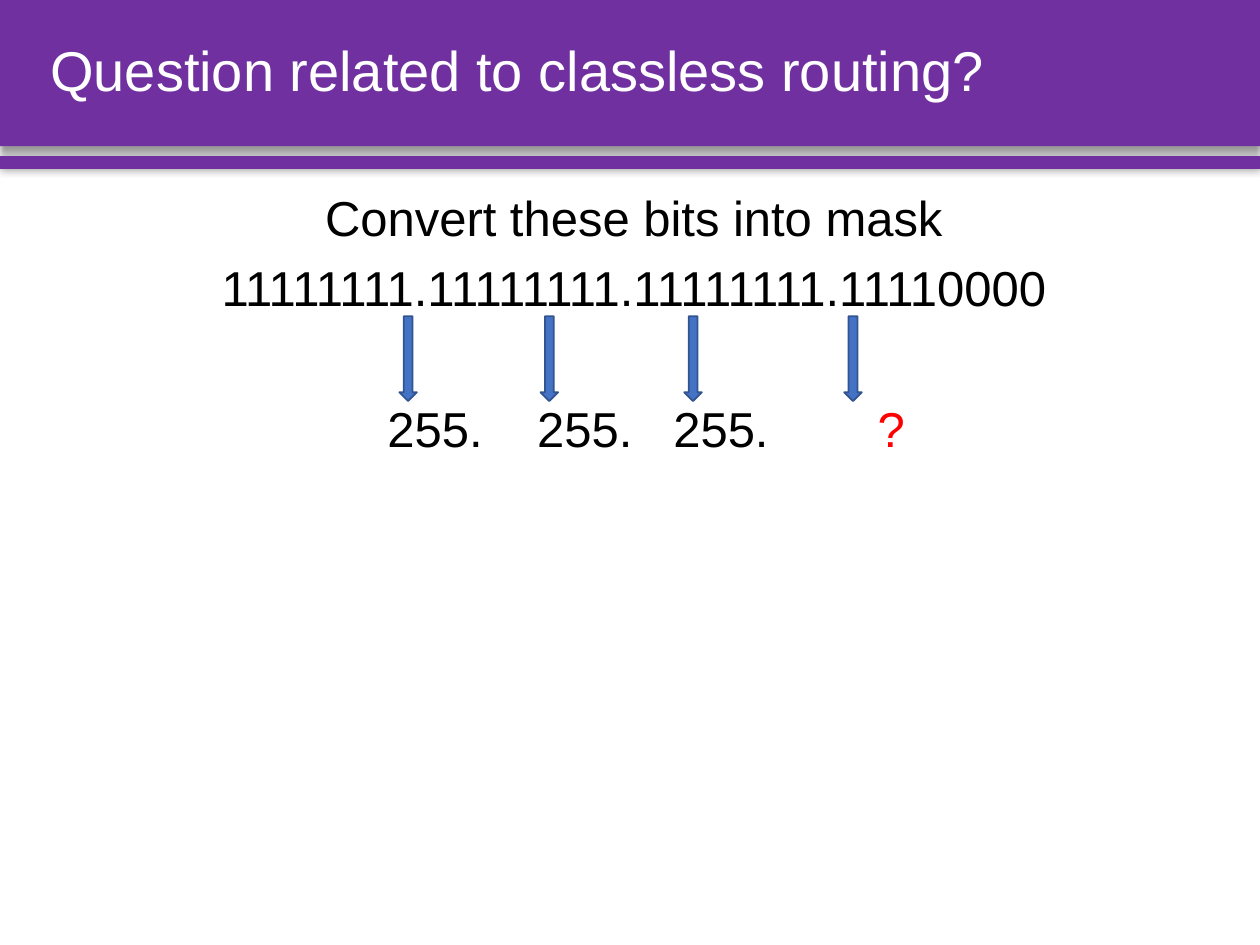
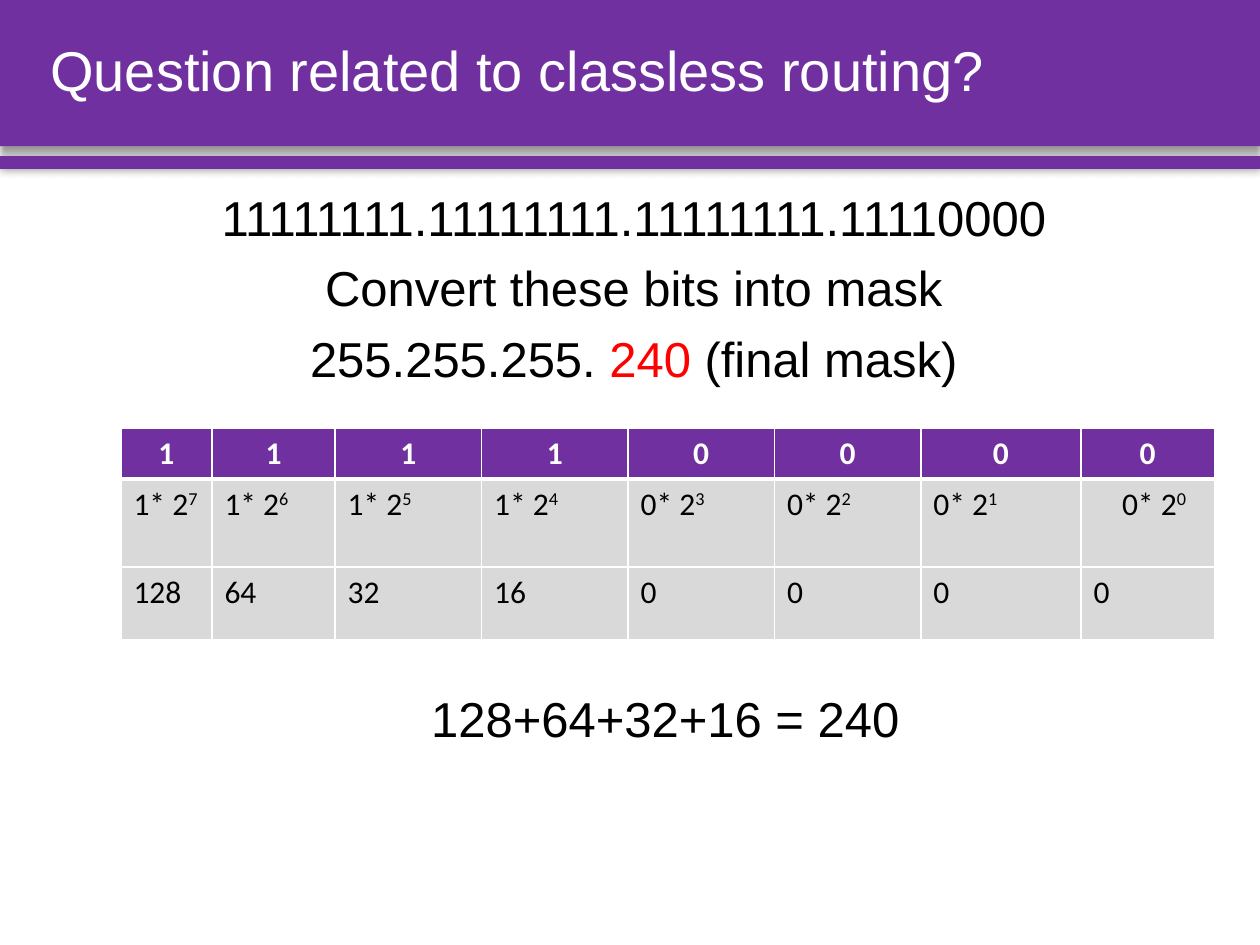
"""Build two slides that turn the bits of a classless mask into decimal."""
import lxml.etree
import pptx
import pptx.dml.color
import pptx.enum.shapes
import pptx.enum.text
import pptx.oxml
import pptx.oxml.ns
import pptx.util

Pt = pptx.util.Pt
qn = pptx.oxml.ns.qn
SHAPE = pptx.enum.shapes.MSO_SHAPE
ALIGN = pptx.enum.text.PP_ALIGN
ANCHOR = pptx.enum.text.MSO_ANCHOR

PURPLE, WHITE, BLACK, RED = "7030A0", "FFFFFF", "000000", "FF0000"
GRAY, BLUE, DARK_BLUE = "D9D9D9", "4472C4", "325491"
PAGE_WIDTH, PAGE_HEIGHT = 720, 540
TITLE_BOX = (21.6, 0, 681.1, 83.5)
BODY_BOX = (21.6, 107.3, 681.1, 393)
TABLE_BOX = (69.1, 244.8, 625, 121)
SUM_BOX = (102.2, 390.2, 555.8, 41)

TITLE = "Question related to classless routing?"
PROMPT = "Convert these bits into mask"
MASK_BITS = "11111111.11111111.11111111.11110000"
LAST_OCTET = MASK_BITS.split(".")[-1]


def color(hex_text):
    return pptx.dml.color.RGBColor.from_string(hex_text)


def write(para, text, size=28, font="Arial", ink=BLACK, bold=False, raised=False):
    span = para.add_run()
    span.text = text
    span.font.size = Pt(size)
    span.font.name = font
    span.font.bold = bold
    span.font.color.rgb = color(ink)
    if raised:
        span.font._element.set("baseline", "30000")


def add_text_frame(page, box, anchor=ANCHOR.TOP):
    frame = page.shapes.add_textbox(*map(Pt, box)).text_frame
    frame.word_wrap = True
    frame.vertical_anchor = anchor
    return frame


def add_solid(page, kind, box, fill):
    shape = page.shapes.add_shape(kind, *map(Pt, box))
    shape.shadow.inherit = False
    shape.fill.solid()
    shape.fill.fore_color.rgb = color(fill)
    shape.line.fill.background()
    return shape


def add_band(page, box, blur, distance):
    band = add_solid(page, SHAPE.RECTANGLE, box, PURPLE)
    effects = band._element.spPr.find(qn("a:effectLst"))
    shadow = lxml.etree.SubElement(
        effects, qn("a:outerShdw"), blurRad=str(Pt(blur)),
        dist=str(Pt(distance)), dir="5400000", rotWithShape="0")
    ink = lxml.etree.SubElement(shadow, qn("a:srgbClr"), val=BLACK)
    lxml.etree.SubElement(ink, qn("a:alpha"), val="40000")


def add_header(page, box):
    left, top, width, height = box
    add_band(page, (0, top, PAGE_WIDTH, height), 4, 3)
    add_band(page, (0, top + height + 5.8, PAGE_WIDTH, 7.2), 5, 0)
    para = add_text_frame(page, box, ANCHOR.MIDDLE).paragraphs[0]
    para.line_spacing = 0.9
    write(para, TITLE, size=32, ink=WHITE)


def add_body(page, box, lines):
    frame = add_text_frame(page, box)
    for index, spans in enumerate(lines):
        para = frame.add_paragraph() if index else frame.paragraphs[0]
        para.alignment = ALIGN.CENTER
        para.line_spacing = 0.9
        para.space_before = Pt(10 if index else 0)
        for text, ink in spans:
            write(para, text, ink=ink)
    return frame


def add_octet_line(frame, stops, octets):
    para = frame.add_paragraph()
    para.line_spacing = 0.9
    para.space_before = Pt(50)
    tabs = lxml.etree.SubElement(para._p.get_or_add_pPr(), qn("a:tabLst"))
    for stop in stops:
        lxml.etree.SubElement(tabs, qn("a:tab"), pos=str(Pt(stop)), algn="l")
    for octet in octets:
        write(para, "\t" + octet, ink=RED if octet == "?" else BLACK)


def add_octet_arrows(page, box, offsets):
    left, top = box[:2]
    for offset in offsets:
        arrow = add_solid(page, SHAPE.DOWN_ARROW,
                          (left + offset, top + 73.4, 10.1, 48.5), BLUE)
        arrow.line.color.rgb = color(DARK_BLUE)
        arrow.line.width = Pt(1)


def set_borders(cell, **widths):
    properties = cell._tc.get_or_add_tcPr()
    for index, side in enumerate("LRTB"):
        line = lxml.etree.Element(qn("a:ln" + side), w=str(Pt(widths.get(side, 1))))
        fill = lxml.etree.SubElement(line, qn("a:solidFill"))
        lxml.etree.SubElement(fill, qn("a:srgbClr"), val=WHITE)
        properties.insert(index, line)


def add_bit_table(page, box, bits):
    column_widths = (52, 70.4, 83.7, 83.7, 83.7, 83.7, 91.5, 76.3)
    row_heights = (28.8, 50.4, 41.8)
    table = page.shapes.add_table(3, len(bits), *map(Pt, box)).table
    for column, width in zip(table.columns, column_widths):
        column.width = Pt(width)
    for row, height in zip(table.rows, row_heights):
        row.height = Pt(height)
    for index, bit in enumerate(bits):
        power = len(bits) - 1 - index
        header, product, value = (table.cell(row, index) for row in range(3))
        for cell, fill in ((header, PURPLE), (product, GRAY), (value, GRAY)):
            cell.fill.solid()
            cell.fill.fore_color.rgb = color(fill)
        set_borders(header, B=3)
        set_borders(product, T=3)
        set_borders(value)
        para = header.text_frame.paragraphs[0]
        para.alignment = ALIGN.CENTER
        write(para, bit, size=18, font="Calibri", ink=WHITE, bold=True)
        para = product.text_frame.paragraphs[0]
        write(para, f"{bit}* 2", size=18, font="Calibri")
        write(para, str(power), size=18, font="Calibri", raised=True)
        write(value.text_frame.paragraphs[0], str(int(bit) * 2 ** power),
              size=18, font="Calibri")
    table.cell(1, len(bits) - 1).margin_left = Pt(23.5)


def add_sum(page, box, text):
    para = add_text_frame(page, box).paragraphs[0]
    para.alignment = ALIGN.CENTER
    write(para, text)


def build_question(page):
    add_header(page, TITLE_BOX)
    frame = add_body(page, BODY_BOX, [[(PROMPT, BLACK)], [(MASK_BITS, BLACK)]])
    add_octet_line(frame, (192.7, 278.3, 356.1, 472.8), ("255.", "255.", "255.", "?"))
    add_octet_arrows(page, BODY_BOX, (206.6, 287.3, 369.4, 460.8))


def build_answer(page):
    add_header(page, TITLE_BOX)
    add_body(page, BODY_BOX, [
        [(MASK_BITS, BLACK)],
        [(PROMPT, BLACK)],
        [("255.255.255. ", BLACK), ("240 ", RED), ("(final mask)", BLACK)],
    ])
    add_bit_table(page, TABLE_BOX, LAST_OCTET)
    add_sum(page, SUM_BOX, "128+64+32+16 = 240")


def main():
    deck = pptx.Presentation()
    deck.slide_width, deck.slide_height = Pt(PAGE_WIDTH), Pt(PAGE_HEIGHT)
    for build in (build_question, build_answer):
        build(deck.slides.add_slide(deck.slide_layouts[6]))
    deck.save("out.pptx")


if __name__ == "__main__":
    main()
